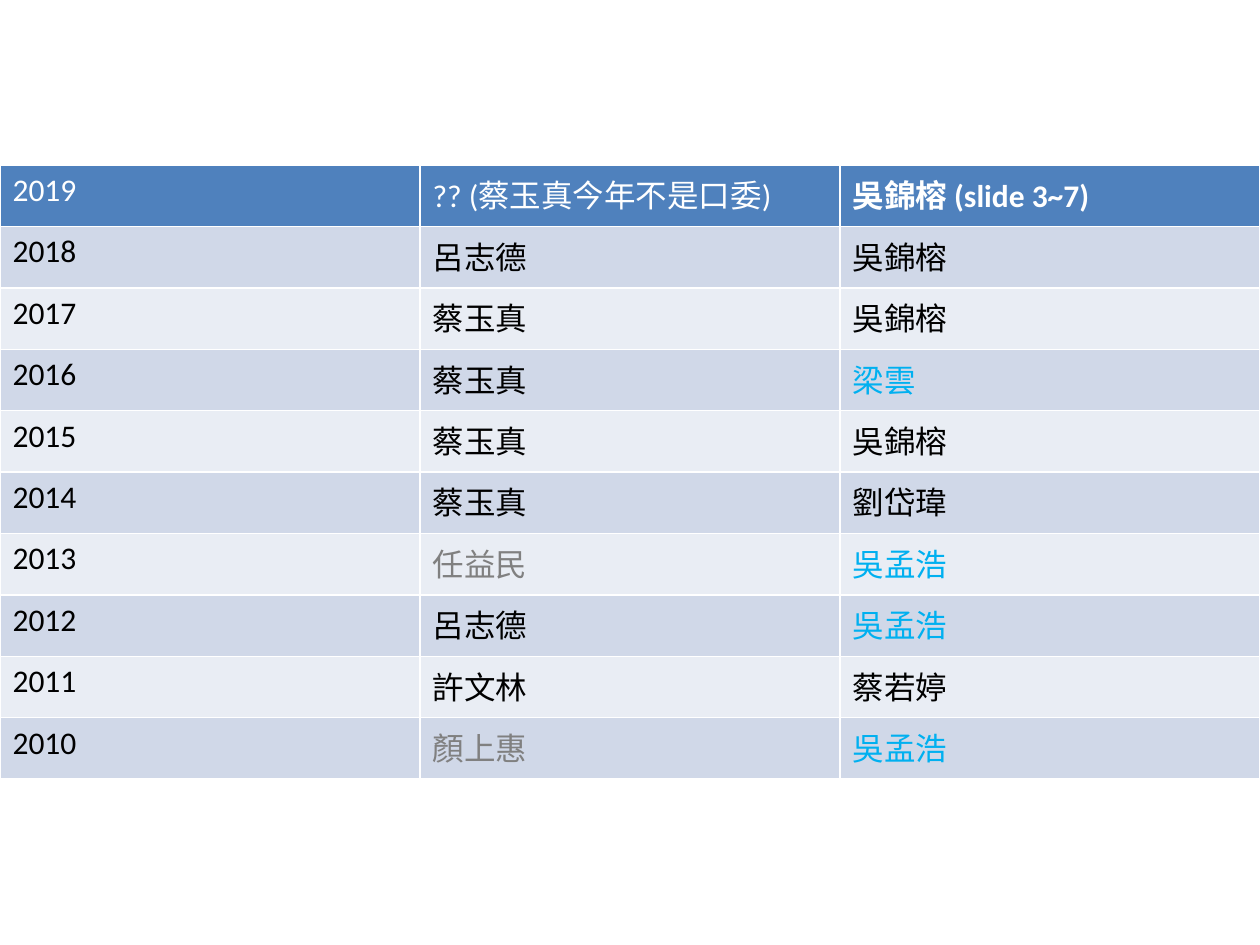
from pptx import Presentation
from pptx import util as u
from pptx.dml.color import RGBColor

WHITE = RGBColor(0xFF, 0xFF, 0xFF)
BLACK = RGBColor(0x00, 0x00, 0x00)
GREY = RGBColor(0x80, 0x80, 0x80)
CYAN = RGBColor(0x00, 0xB0, 0xF0)
HEADER_FILL = RGBColor(0x4F, 0x81, 0xBD)
BAND_FILLS = [RGBColor(0xE9, 0xED, 0xF4), RGBColor(0xD0, 0xD8, 0xE8)]

# Year and the two committee members
ROWS = [
    ("2019", "?? (蔡玉真今年不是口委)", "吳錦榕 (slide 3~7)"),
    ("2018", "呂志德", "吳錦榕"),
    ("2017", "蔡玉真", "吳錦榕"),
    ("2016", "蔡玉真", "梁雲"),
    ("2015", "蔡玉真", "吳錦榕"),
    ("2014", "蔡玉真", "劉岱瑋"),
    ("2013", "任益民", "吳孟浩"),
    ("2012", "呂志德", "吳孟浩"),
    ("2011", "許文林", "蔡若婷"),
    ("2010", "顏上惠", "吳孟浩"),
]
NAME_COLORS = {"梁雲": CYAN, "吳孟浩": CYAN, "任益民": GREY, "顏上惠": GREY}

deck = Presentation()
deck.slide_width, deck.slide_height = u.Inches(10), u.Inches(7.5)
page = deck.slides.add_slide(deck.slide_layouts[6])

# Full-width table; the default table style draws the white borders
row_height = int(deck.slide_height * 0.065)
table = page.shapes.add_table(
    len(ROWS), 3, 0, u.Inches(1.31), deck.slide_width, row_height * len(ROWS)
).table

# Cell text and fills
for row, values in enumerate(ROWS):
    for column, value in enumerate(values):
        cell = table.cell(row, column)
        cell.fill.solid()
        cell.fill.fore_color.rgb = BAND_FILLS[row % 2] if row else HEADER_FILL
        para = cell.text_frame.paragraphs[0]
        para.text = value
        span = para.runs[0]
        span.font.name = "Calibri"
        span.font.size = u.Pt(18)
        span.font.bold = row == 0 and column == 2
        span.font.color.rgb = NAME_COLORS.get(value, BLACK) if row else WHITE

deck.save("out.pptx")
